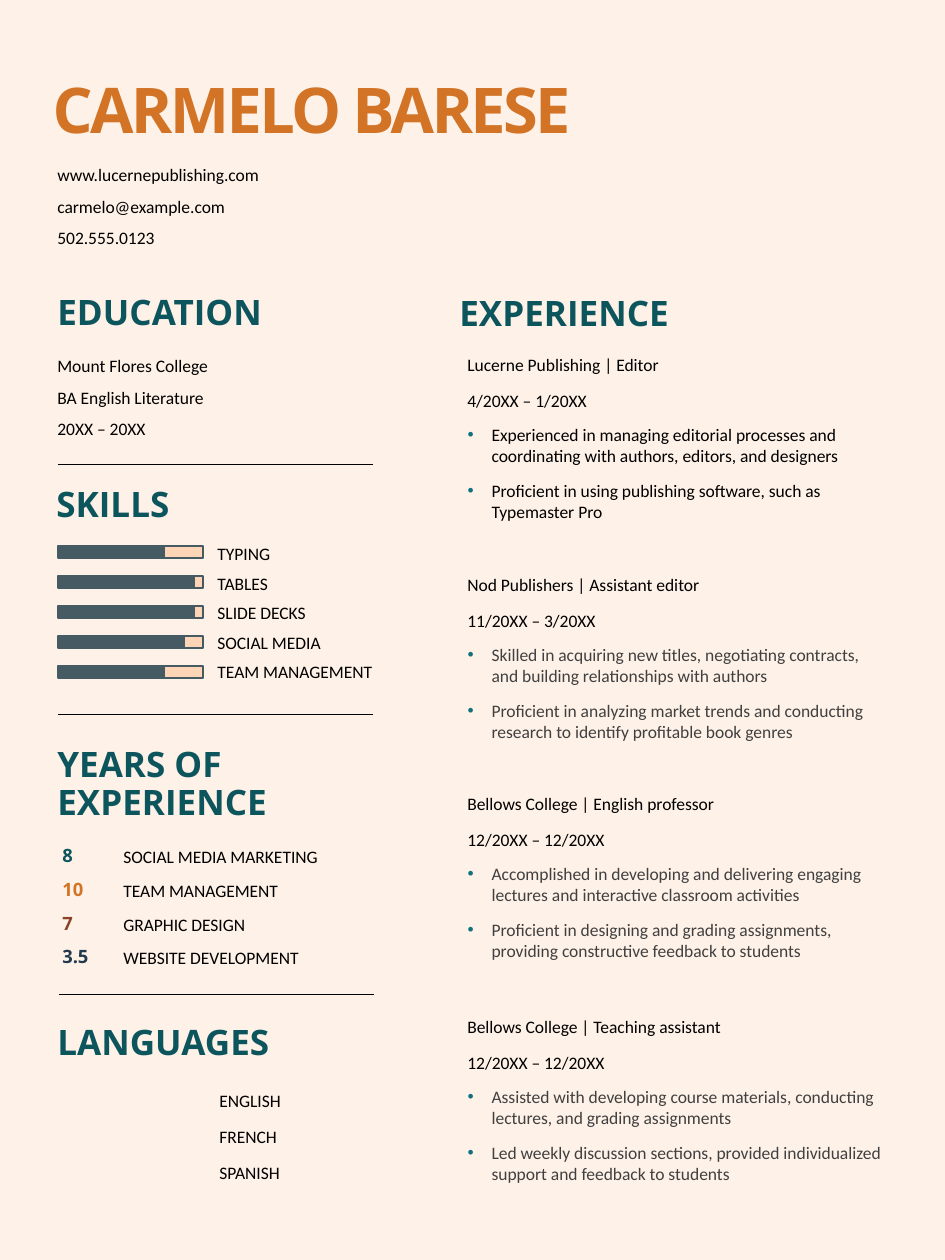
from dataclasses import dataclass
from lxml import etree
from pptx import Presentation
from pptx import util as u
from pptx.dml.color import RGBColor
from pptx.enum import shapes, text
from pptx.oxml.ns import qn

# Content
NAME = "CARMELO BARESE"
CONTACT = ["www.lucernepublishing.com", "carmelo@example.com", "502.555.0123"]
EDUCATION = ["Mount Flores College", "BA English Literature", "20XX – 20XX"]
SKILLS = [("TYPING", 106), ("TABLES", 136), ("SLIDE DECKS", 136),
          ("SOCIAL MEDIA", 126), ("TEAM MANAGEMENT", 106)]
YEARS = [("8", "SOCIAL MEDIA MARKETING", "0D555D"), ("10", "TEAM MANAGEMENT", "D27326"),
         ("7", "GRAPHIC DESIGN", "894328"), ("3.5", "WEBSITE DEVELOPMENT", "223950")]
LANGUAGES = ["ENGLISH", "FRENCH", "SPANISH"]
JOBS = [
    (348, "Lucerne Publishing | Editor", "4/20XX – 1/20XX", [
        "Experienced in managing editorial processes and coordinating with authors, "
        "editors, and designers",
        "Proficient in using publishing software, such as Typemaster Pro"]),
    (568, "Nod Publishers | Assistant editor", "11/20XX – 3/20XX", [
        "Skilled in acquiring new titles, negotiating contracts, and building "
        "relationships with authors",
        "Proficient in analyzing market trends and conducting research to identify "
        "profitable book genres"]),
    (787, "Bellows College | English professor", "12/20XX – 12/20XX", [
        "Accomplished in developing and delivering engaging lectures and interactive "
        "classroom activities",
        "Proficient in designing and grading assignments, providing constructive "
        "feedback to students"]),
    (1010, "Bellows College | Teaching assistant", "12/20XX – 12/20XX", [
        "Assisted with developing course materials, conducting lectures, and grading "
        "assignments",
        "Led weekly discussion sections, provided individualized support and feedback "
        "to students"]),
]
HEADINGS = [("EDUCATION", (45, 289, 368, 70)), ("SKILLS", (44, 481, 368, 53)),
            ("YEARS OF EXPERIENCE", (45, 741, 289, 107)),
            ("LANGUAGES", (45, 1019, 368, 53)), ("EXPERIENCE", (447, 290, 368, 48))]
DIVIDERS = [(58, 464), (58, 714), (59, 994)]
DIVIDER_WIDTH = 315


@dataclass(frozen=True)
class Theme:
    background: str = "FEF1E7"
    name: str = "D27326"
    heading: str = "0D555D"
    ink: str = "000000"
    soft_ink: str = "404040"
    bullet: str = "11717C"
    bar: str = "465A63"
    track: str = "FDD4B6"
    display_font: str = "Open Sans"
    body_font: str = "Calibri"
    name_size: float = 36
    heading_size: float = 20
    number_size: float = 10.5
    body_size: float = 10


T = Theme()
PX = u.Inches(1) / 126


def px(n):
    return u.Emu(round(n * PX))


def rgb(code):
    return RGBColor.from_string(code)


def write(part, box, lines, size=T.body_size, color=T.ink, font=T.body_font, bold=False,
          before=6, spacing=1.0, anchor=text.MSO_ANCHOR.TOP):
    part.left, part.top, part.width, part.height = map(px, box)
    frame = part.text_frame
    frame.text = "\n".join(lines)
    frame.word_wrap = True
    frame.auto_size = text.MSO_AUTO_SIZE.NONE
    frame.vertical_anchor = anchor
    for para in frame.paragraphs:
        para.alignment = text.PP_ALIGN.LEFT
        para.space_before, para.line_spacing = u.Pt(before), spacing
        for run in para.runs:
            run.font.name, run.font.size, run.font.bold = font, u.Pt(size), bold
            run.font.color.rgb = rgb(color)
    return frame


def add_text(box, lines, **style):
    return write(slide.shapes.add_textbox(0, 0, 0, 0), box, lines, **style)


def add_bullets(frame):
    for para in frame.paragraphs:
        props = para._p.get_or_add_pPr()
        props.set("marL", str(px(24)))
        props.set("indent", str(-px(24)))
        color = etree.SubElement(props, qn("a:buClr"))
        etree.SubElement(color, qn("a:srgbClr"), val=T.bullet)
        etree.SubElement(props, qn("a:buFont"), typeface="Arial")
        etree.SubElement(props, qn("a:buChar"), char="•")


def add_bar(box, fill, outline=None):
    bar = slide.shapes.add_shape(shapes.MSO_SHAPE.RECTANGLE, *map(px, box))
    bar.shadow.inherit = False
    bar.fill.solid()
    bar.fill.fore_color.rgb = rgb(fill)
    if outline:
        bar.line.color.rgb, bar.line.width = rgb(outline), u.Pt(1)
    else:
        bar.line.fill.background()


prs = Presentation()
prs.slide_width, prs.slide_height = px(945), px(1260)
slide = prs.slides.add_slide(prs.slide_layouts[4])
slide.background.fill.solid()
slide.background.fill.fore_color.rgb = rgb(T.background)
title, *job_lists = list(slide.placeholders)[:5]

# Section dividers
for x, y in DIVIDERS:
    divider = slide.shapes.add_connector(
        shapes.MSO_CONNECTOR.STRAIGHT, px(x), px(y), px(x + DIVIDER_WIDTH), px(y))
    divider.line.color.rgb, divider.line.width = rgb(T.ink), u.Pt(0.5)
    etree.SubElement(divider._element.spPr, qn("a:effectLst"))

# Name, contact and education
name = write(title, (40, 69, 815, 89), [NAME], size=T.name_size, color=T.name,
             font=T.display_font, bold=True, before=0, spacing=0.9,
             anchor=text.MSO_ANCHOR.MIDDLE)
name.paragraphs[0].runs[0]._r.get_or_add_rPr().set("spc", "-150")
add_text((45, 158, 368, 130), CONTACT)
add_text((45, 349, 368, 113), EDUCATION)

# Section headings
for heading, box in HEADINGS:
    add_text(box, [heading], size=T.heading_size, color=T.heading, font=T.display_font,
             bold=True, before=7.5, spacing=0.9)

# Skills with level bars
for i, (skill, level) in enumerate(SKILLS):
    add_text((205, 537 + 29.5 * i, 207, 30), [skill])
    y = 546 + 30 * i
    add_bar((58, y, 145, 12), T.track, T.bar)
    add_bar((59, y, level, 12), T.bar)

# Years of experience
for i, (years, field, color) in enumerate(YEARS):
    y = 838 + 33.75 * i
    add_text((50, y, 66, 30), [years], size=T.number_size, color=color,
             font=T.display_font, bold=True)
    add_text((111, y + 2, 227, 30), [field])

# Languages
for i, language in enumerate(LANGUAGES):
    add_text((207, 1084 + 36 * i, 227, 30), [language])

# Jobs
for i, (job_list, (y, role, dates, duties)) in enumerate(zip(job_lists, JOBS)):
    add_text((455, y, 355, 30), [role])
    add_text((455, y + 36, 271, 30), [dates])
    add_bullets(write(job_list, (455, y + 70, 446, 129), duties, before=7.5,
                      color=T.soft_ink if i else T.ink))

# Drop the date, footer and number placeholders if present
for spare in list(slide.placeholders)[5:]:
    spare._element.getparent().remove(spare._element)

prs.save("out.pptx")
